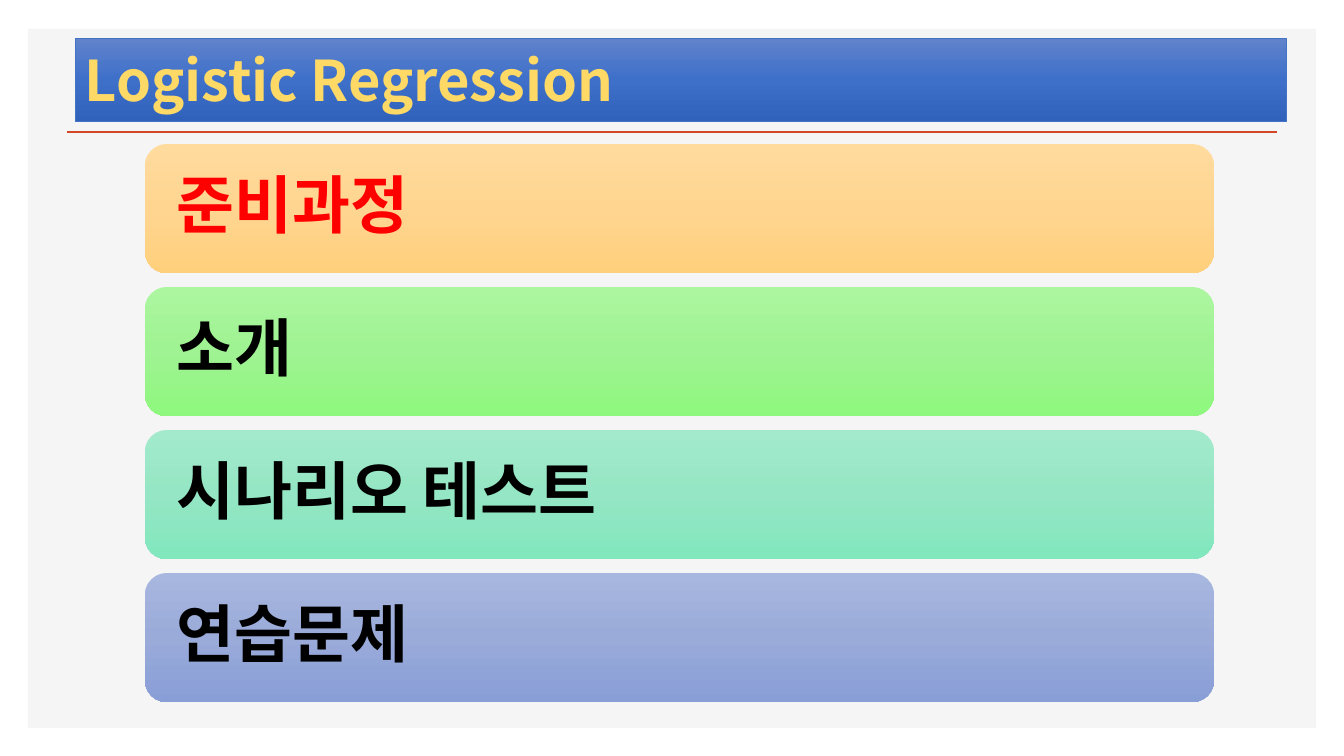
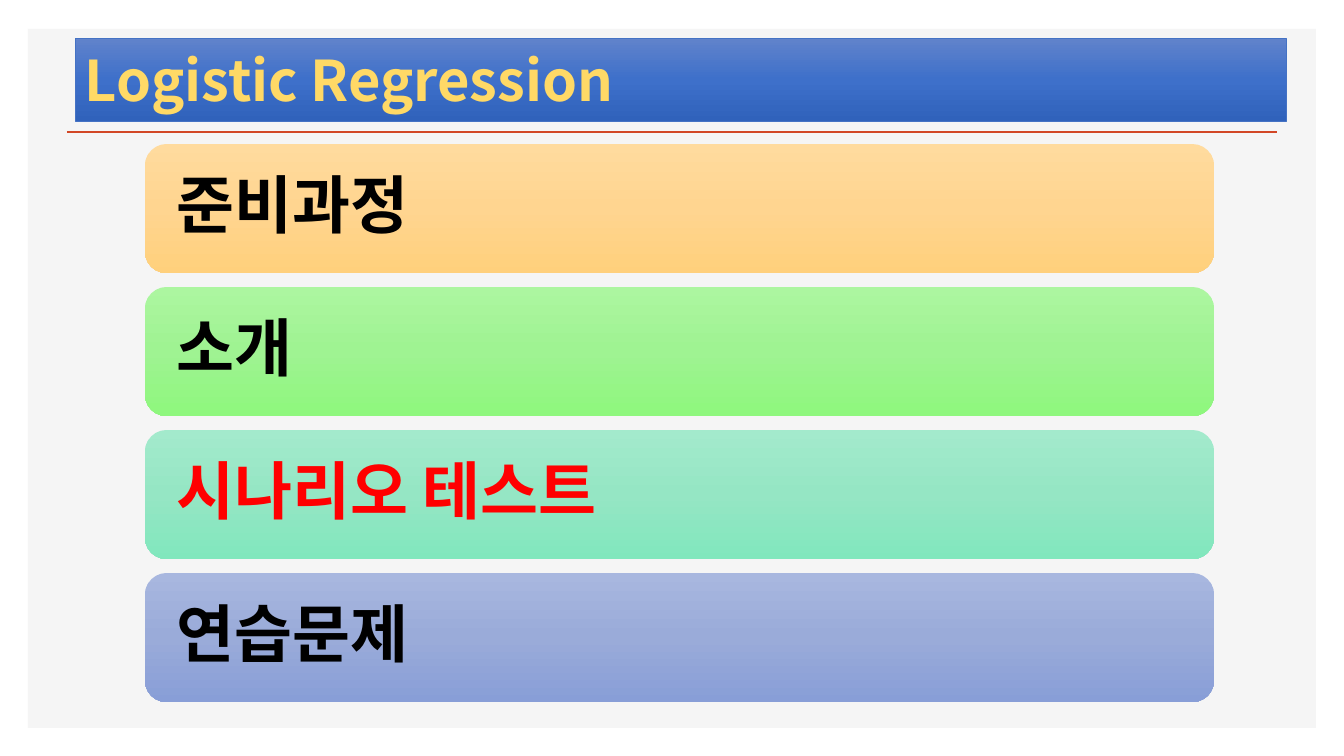
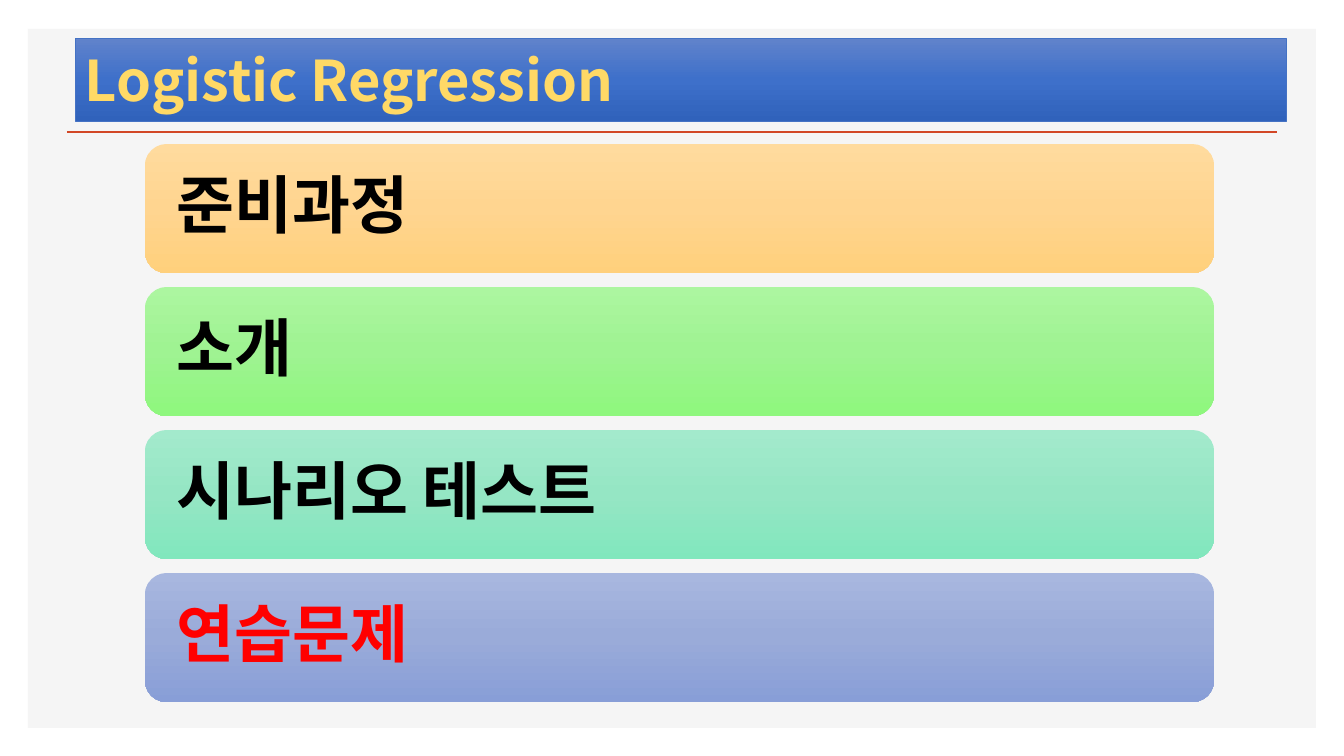
"""Build three agenda slides, each marking its current topic in red."""
from copy import deepcopy

from lxml.etree import SubElement
from pptx import Presentation
from pptx.dml.color import RGBColor as RGB
from pptx.enum.shapes import MSO_CONNECTOR as LINE, MSO_SHAPE as SHAPE
from pptx.enum.text import MSO_ANCHOR as ANCHOR, PP_ALIGN as ALIGN
from pptx.oxml.ns import qn
from pptx.util import Emu, Pt

SCALE = 914400 / 100.8
WIDE, HIGH = 1344, 756
FONT = "Noto Sans CJK KR"
HUES = {
    "panel": "F5F5F5", "rule": "D24726", "edge": "4472C4",
    "title": "FFD966", "text": "000000", "mark": "FF0000",
}
BLUE = ("6183CB", "3E70CA", "3062BB")
TITLE = "Logistic Regression"
TOPICS = {
    "준비과정": ("FFDB9E", "FFD590", "FFD07C"),
    "소개": ("ACF6A0", "9FF392", "8EF77D"),
    "시나리오 테스트": ("A3EACC", "95E6C4", "81E7BD"),
    "연습문제": ("A8B7DF", "9AABD9", "889ED7"),
}
MARKS = ("준비과정", "시나리오 테스트", "연습문제")
LEFT, TOP, BAR_W, BAR_H, STEP = 145, 144, 1069, 129, 143


def px(num):
    return Emu(round(num * SCALE))


def style(item, vals):
    for name, val in vals.items():
        setattr(item, name, val)


def hue(name):
    return RGB.from_string(HUES[name])


def box(slide, kind, *area):
    shape = slide.shapes.add_shape(kind, *map(px, area))
    shape.shadow.inherit = False
    shape.line.fill.background()
    return shape


def blend(shape, tones):
    fill = shape.fill
    fill.gradient()
    fill.gradient_angle = 270
    first = shape._element.spPr.find(".//" + qn("a:gs"))
    first.addnext(deepcopy(first))
    for idx, (stop, tone) in enumerate(zip(fill.gradient_stops, tones)):
        stop.position = idx / (len(tones) - 1)
        stop.color.rgb = RGB.from_string(tone)


def write(shape, text, size, color, frame=None, para=None):
    body = shape.text_frame
    style(body, {"word_wrap": True, "vertical_anchor": ANCHOR.MIDDLE, **(frame or {})})
    line = body.paragraphs[0]
    style(line, {"alignment": ALIGN.LEFT, **(para or {})})
    run = line.add_run()
    run.text = text
    style(run.font, {"name": FONT, "size": Pt(size), "bold": True})
    run.font.color.rgb = hue(color)
    SubElement(run._r.get_or_add_rPr(), qn("a:ea"), typeface=FONT)


def panel(slide):
    shape = box(slide, SHAPE.RECTANGLE, 28, 29, 1288, 699)
    shape.fill.solid()
    shape.fill.fore_color.rgb = hue("panel")
    return shape


def rule(slide):
    ends = map(px, (67, 132, 1277, 132))
    line = slide.shapes.add_connector(LINE.STRAIGHT, *ends)
    line.line.width = Pt(2)
    line.line.color.rgb = hue("rule")
    SubElement(line._element.spPr, qn("a:effectLst"))
    return line


def share(slide):
    tree = slide.slide_layout.shapes._spTree
    for part in (panel(slide), rule(slide)):
        tree.append(part._element)


def header(slide):
    shape = box(slide, SHAPE.RECTANGLE, 75, 38, 1211, 83)
    blend(shape, BLUE)
    shape.line.width = Pt(0.5)
    shape.line.color.rgb = hue("edge")
    write(shape, TITLE, 40, "title")


def agenda(slide, mark):
    frame = {"margin_left": px(25), "margin_right": px(25)}
    for row, (topic, tones) in enumerate(TOPICS.items()):
        bar = box(slide, SHAPE.ROUNDED_RECTANGLE, LEFT, TOP + row * STEP, BAR_W, BAR_H)
        blend(bar, tones)
        color = "mark" if topic == mark else "text"
        write(bar, topic, 45, color, frame, {"line_spacing": 0.9})


def main():
    deck = Presentation()
    style(deck, {"slide_width": px(WIDE), "slide_height": px(HIGH)})
    blank = deck.slide_layouts[6]
    for idx, mark in enumerate(MARKS):
        slide = deck.slides.add_slide(blank)
        if idx == 0:
            share(slide)
        header(slide)
        agenda(slide, mark)
    deck.save("out.pptx")


if __name__ == "__main__":
    main()
